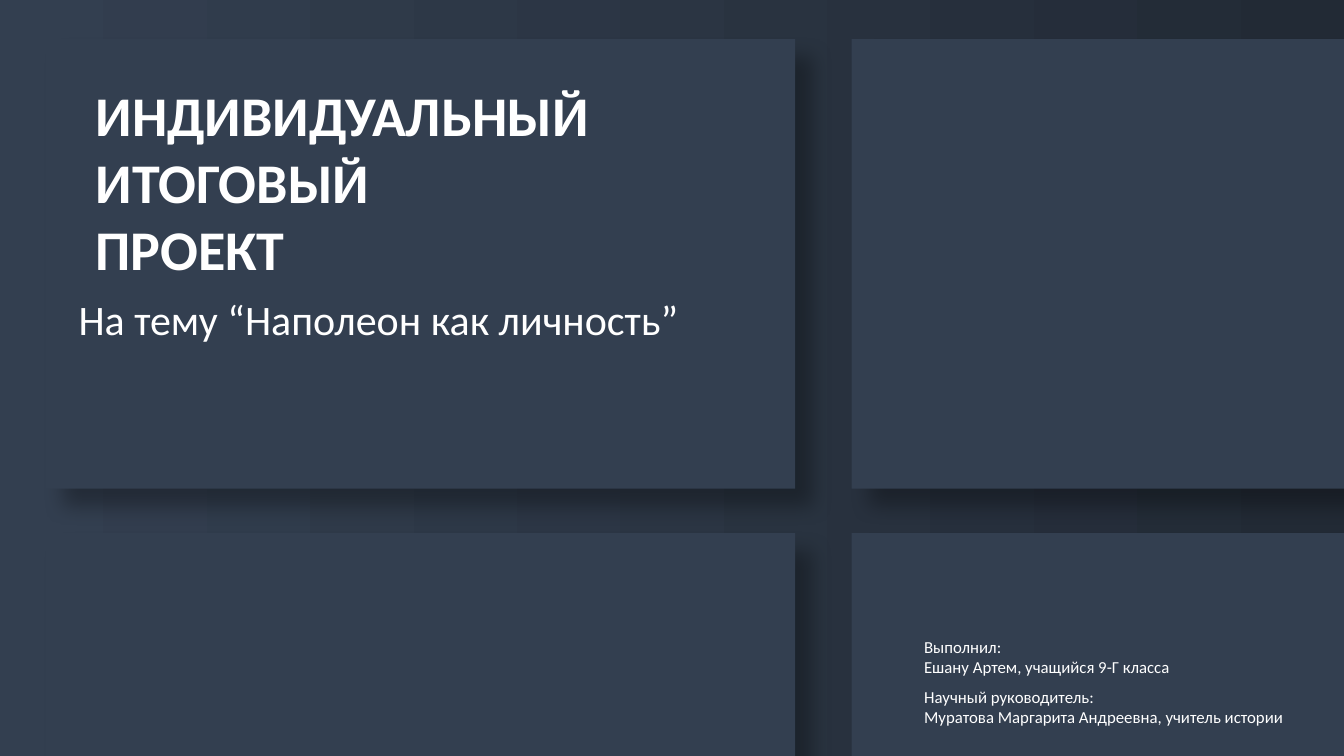
"""Build the title slide of a school project with four shadowed cards."""
import dataclasses

import lxml.etree
import pptx
import pptx.dml.color
import pptx.enum.shapes
import pptx.enum.text
import pptx.oxml.ns
import pptx.util

Pt = pptx.util.Pt


@dataclasses.dataclass(frozen=True)
class Theme:
    """Colours, font and type sizes of the slide."""
    card: str = "333F50"
    night: str = "222A35"
    text: str = "FFFFFF"
    shadow: str = "000000"
    font: str = "Calibri"
    title: int = 40
    subtitle: int = 30
    credit: int = 12


def rgb(code):
    """Turn a hex code into a colour."""
    return pptx.dml.color.RGBColor.from_string(code)


def add_text(para, text, *, size, color, font, bold=False):
    """Add a formatted span of text to a paragraph."""
    span = para.add_run()
    span.text = text
    span.font.size = Pt(size)
    span.font.name = font
    span.font.bold = bold
    span.font.color.rgb = rgb(color)


class Painter:
    """Draws elements on the current page in one style."""

    def __init__(self, page, theme):
        """Keep the page and the theme."""
        self.page = page
        self.theme = theme

    def background(self):
        """Fill the page with a left-to-right gradient."""
        fill = self.page.background.fill
        fill.gradient()
        fill.gradient_angle = 0
        colors = (self.theme.card, self.theme.night)
        for position, (stop, color) in enumerate(zip(fill.gradient_stops, colors)):
            stop.position = position
            stop.color.rgb = rgb(color)

    def card(self, left, top, width, height):
        """Draw a borderless rectangle with a soft shadow."""
        card = self.page.shapes.add_shape(
            pptx.enum.shapes.MSO_SHAPE.RECTANGLE,
            Pt(left), Pt(top), Pt(width), Pt(height))
        card.fill.solid()
        card.fill.fore_color.rgb = rgb(self.theme.card)
        card.line.fill.background()
        card.shadow.inherit = False
        self.shadow(card, blur=15, distance=18, angle=45, opacity=30)

    def shadow(self, shape, *, blur, distance, angle, opacity):
        """Give a shape an outer shadow."""
        qn = pptx.oxml.ns.qn
        effects = shape._element.spPr.find(qn("a:effectLst"))
        outer = lxml.etree.SubElement(
            effects, qn("a:outerShdw"), blurRad=str(Pt(blur)), dist=str(Pt(distance)),
            dir=str(angle * 60000), algn="tl", rotWithShape="0")
        color = lxml.etree.SubElement(outer, qn("a:srgbClr"), val=self.theme.shadow)
        lxml.etree.SubElement(color, qn("a:alpha"), val=str(opacity * 1000))

    def text(self, left, top, width, height, lines, *, size, bold=False, wrap=True):
        """Place a text box with one paragraph per line."""
        box = self.page.shapes.add_textbox(Pt(left), Pt(top), Pt(width), Pt(height))
        frame = box.text_frame
        frame.word_wrap = wrap
        frame.auto_size = pptx.enum.text.MSO_AUTO_SIZE.SHAPE_TO_FIT_TEXT
        for index, line in enumerate(lines):
            para = frame.add_paragraph() if index else frame.paragraphs[0]
            add_text(para, line, size=size, bold=bold,
                     color=self.theme.text, font=self.theme.font)


def main():
    """Build and save the deck."""
    deck = pptx.Presentation()
    deck.slide_width, deck.slide_height = Pt(960), Pt(540)
    theme = Theme()
    painter = Painter(deck.slides.add_slide(deck.slide_layouts[6]), theme)
    painter.background()

    for row in range(2):
        for column in range(2):
            painter.card(33 + 575.3 * column, 28 + 352.8 * row, 535, 321)

    painter.text(61.2, 54, 370.8, 152.6, ["ИНДИВИДУАЛЬНЫЙ", "ИТОГОВЫЙ", "ПРОЕКТ"],
                 size=theme.title, bold=True, wrap=False)
    painter.text(49, 206, 519, 44, ["На тему “Наполеон как личность”"],
                 size=theme.subtitle)
    painter.text(653, 451.4, 285, 36, ["Выполнил:", "Ешану Артем, учащийся 9-Г класса"],
                 size=theme.credit)
    painter.text(653, 486.7, 274.3, 36,
                 ["Научный руководитель:", "Муратова Маргарита Андреевна, учитель истории"],
                 size=theme.credit, wrap=False)

    deck.save("out.pptx")


if __name__ == "__main__":
    main()
